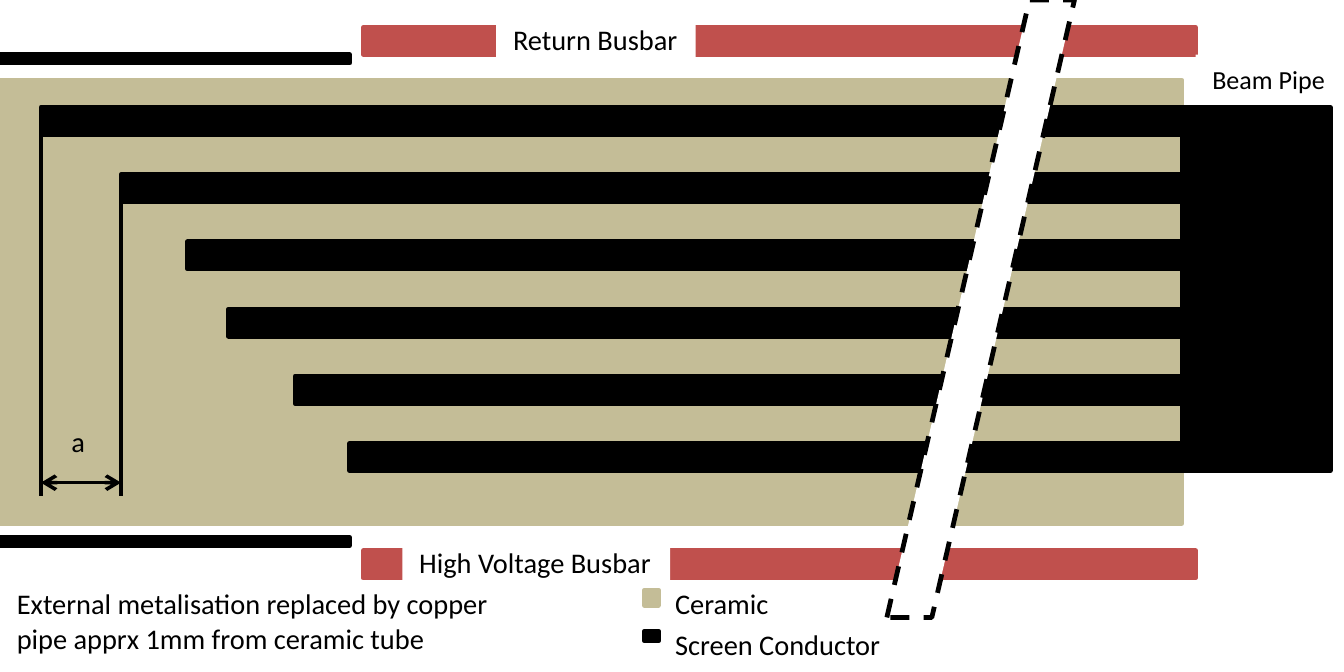
"""Build the slide of a ceramic beam tube with screen conductors and busbars."""
from lxml import etree
from pptx import Presentation
from pptx import util as u
from pptx.dml.color import RGBColor
from pptx.enum import dml, shapes, text
from pptx.oxml.ns import qn

BLACK, WHITE, CERAMIC, BUSBAR = "000000", "FFFFFF", "C4BD97", "C0504D"
FONT = "Calibri"

PIPE_LEFT, PIPE_TOP, PIPE_WIDTH, PIPE_HEIGHT = 6.93, 0.63, 0.87, 2.13
BAR_HEIGHT = 0.16
CONDUCTOR_LEFTS = [0.24, 0.71, 1.1, 1.34, 1.73, 2.05]
GUIDE_BOTTOM, ARROW_Y = 2.91, 2.83
BUSBARS = [
    (0.16, "Return Busbar", (2.91, 0.08, 1.17, 0.3)),
    (3.23, "High Voltage Busbar", (2.36, 3.15, 1.57, 0.3)),
]
COPPER_TOPS = [0.32, 3.15]
LEGEND = [
    ("Ceramic", CERAMIC, (3.78, 3.46, 0.08, 0.09), (3.86, 3.39, 0.76, 0.3)),
    ("Screen Conductor", BLACK, (3.78, 3.7, 0.08, 0.06), (3.86, 3.63, 1.42, 0.3)),
]
NOTE = "External metalisation replaced by copper pipe apprx 1mm from ceramic tube"

presentation = Presentation()
presentation.slide_width = u.Inches(7.88)
presentation.slide_height = u.Inches(3.94)
slide = presentation.slides.add_slide(presentation.slide_layouts[6])


def color(value):
    return RGBColor.from_string(value)


def inches(values):
    return [u.Inches(value) for value in values]


def add_block(box, fill, line=None, kind=shapes.MSO_SHAPE.RECTANGLE):
    shape = slide.shapes.add_shape(kind, *inches(box))
    shape.shadow.inherit = False
    shape.fill.solid()
    shape.fill.fore_color.rgb = color(fill)
    shape.line.color.rgb = color(line or fill)
    shape.line.width = u.Pt(2)
    return shape


def add_text(words, box, size=12, fill=None, wrap=False):
    shape = slide.shapes.add_textbox(*inches(box))
    if fill:
        shape.fill.solid()
        shape.fill.fore_color.rgb = color(fill)
    frame = shape.text_frame
    frame.word_wrap = wrap
    frame.auto_size = text.MSO_AUTO_SIZE.SHAPE_TO_FIT_TEXT
    run = frame.paragraphs[0].add_run()
    run.text = words
    run.font.name = FONT
    run.font.size = u.Pt(size)
    run.font.color.rgb = color(BLACK)


def add_line(start, end, arrows=False):
    connector = slide.shapes.add_connector(
        shapes.MSO_CONNECTOR.STRAIGHT, *inches(start + end))
    connector.line.color.rgb = color(BLACK)
    connector.line.width = u.Pt(1.5)
    if arrows:
        outline = connector.line._get_or_add_ln()
        for name in ("a:headEnd", "a:tailEnd"):
            etree.SubElement(outline, qn(name), type="arrow")
    etree.SubElement(connector._element.spPr, qn("a:effectLst"))


add_block((0, 0.47, PIPE_LEFT, 2.6), CERAMIC)
pitch = (PIPE_HEIGHT - BAR_HEIGHT) / (len(CONDUCTOR_LEFTS) - 1)
for row, left in enumerate(CONDUCTOR_LEFTS):
    add_block((left, PIPE_TOP + row * pitch, PIPE_LEFT - left, BAR_HEIGHT), BLACK)

first, second = CONDUCTOR_LEFTS[:2]
for row, left in enumerate((first, second)):
    add_line((left, PIPE_TOP + row * pitch + BAR_HEIGHT / 2), (left, GUIDE_BOTTOM))
add_text("a", (0.32, 2.44, 0.32, 0.4))
add_line((first, ARROW_Y), (second, ARROW_Y), arrows=True)

for top, name, label_box in BUSBARS:
    add_block((2.13, top, 4.88, BAR_HEIGHT), BUSBAR)
    add_text(name, label_box, fill=WHITE)

add_block((PIPE_LEFT, PIPE_TOP, PIPE_WIDTH, PIPE_HEIGHT), BLACK)
for top in COPPER_TOPS:
    add_block((0, top, 2.05, 0.05), BLACK)

for name, fill, swatch_box, label_box in LEGEND:
    add_block(swatch_box, fill)
    add_text(name, label_box)

add_text("Beam Pipe", (7.01, 0.32, 0.87, 0.29), size=11, fill=WHITE)
add_text(NOTE, (0, 3.39, 2.99, 0.5), wrap=True)

break_mark = add_block((5.2, 0, 1.1, 3.62), WHITE, BLACK, shapes.MSO_SHAPE.PARALLELOGRAM)
break_mark.adjustments[0] = 0.76
break_mark.line.dash_style = dml.MSO_LINE.DASH

presentation.save("out.pptx")
